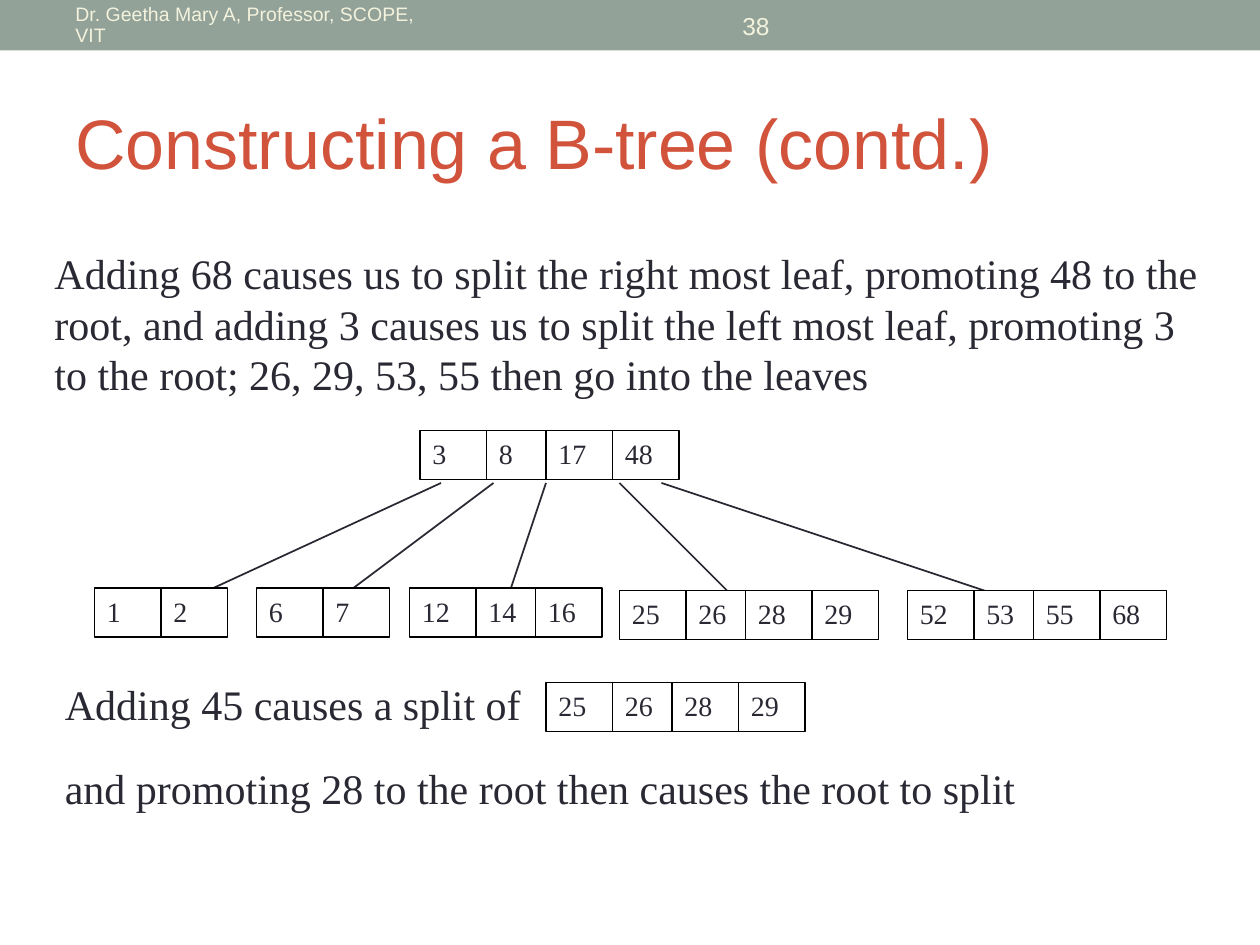
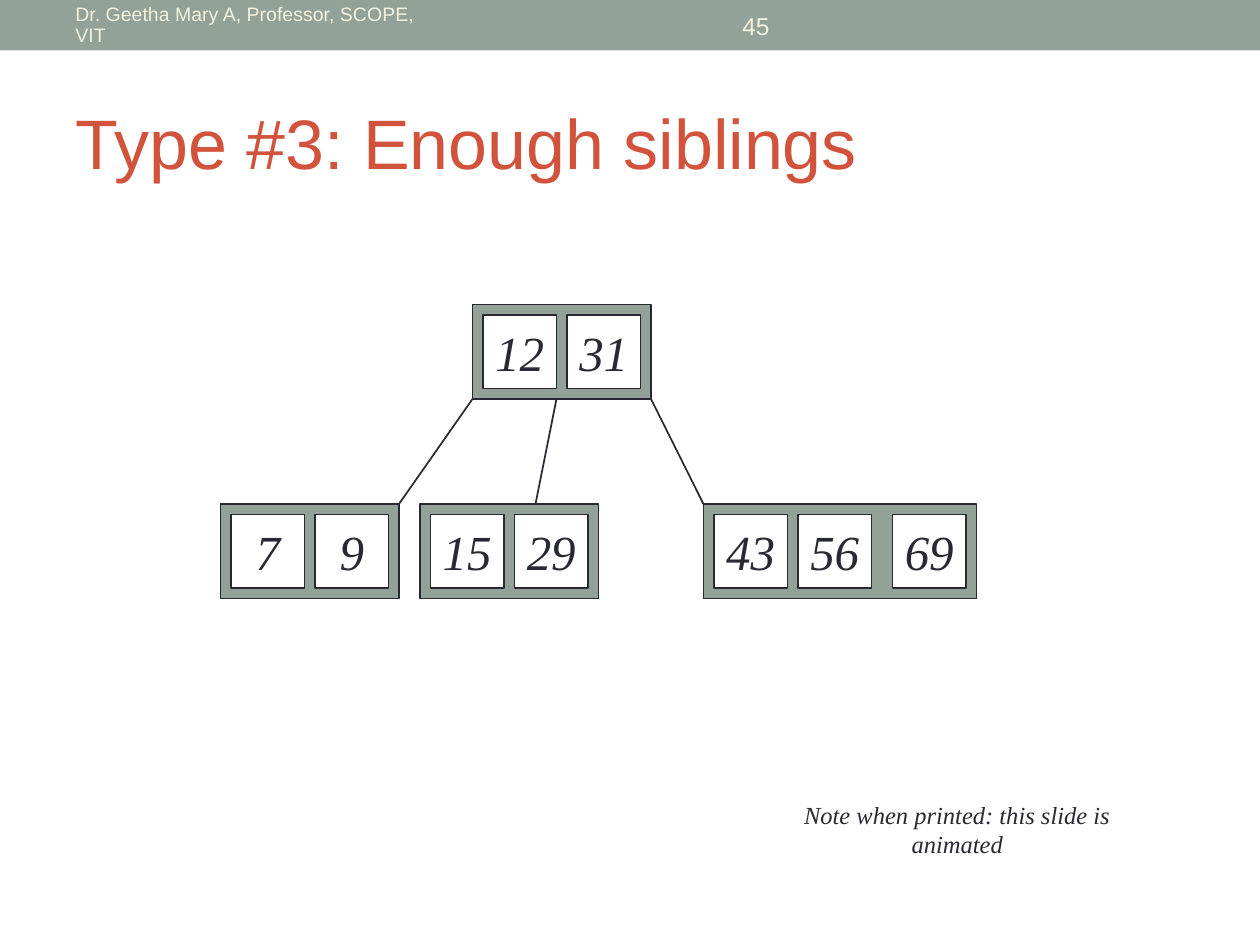
from lxml import etree
from pptx import Presentation
from pptx.dml.color import RGBColor
from pptx.enum import shapes, text
from pptx.oxml.ns import qn
from pptx.util import Pt

# Shared look
BAND, CREAM, RED, INK = "93A299", "F3F2DC", "D2533C", "292934"
WHITE, BLACK = "FFFFFF", "000000"
SANS, SERIF = "Arial", "Times New Roman"
LEFT, CENTER = text.PP_ALIGN.LEFT, text.PP_ALIGN.CENTER
TOP, MIDDLE = text.MSO_ANCHOR.TOP, text.MSO_ANCHOR.MIDDLE
AUTHOR = "Dr. Geetha Mary A, Professor, SCOPE, VIT"

# Slide 1: text as (box, wording), nodes as (left, top, keys), links as (x from, x to)
SPLIT_TITLE = "Constructing a B-tree (contd.)"
SPLIT_TEXT = [
    ((24, 138, 672, 94), "Adding 68 causes us to split the right most leaf, promoting 48 to the "
     "root, and adding 3 causes us to split the left most leaf, promoting 3 "
     "to the root; 26, 29, 53, 55 then go into the leaves"),
    ((30, 384, 288, 36), "Adding 45 causes a split of"),
    ((30, 432, 654, 36), "and promoting 28 to the root then causes the root to split"),
]
SPLIT_NODES = [
    (240, 246, [3, 8, 17, 48]),
    (518.5, 337.5, [52, 53, 55, 68]),
    (354, 337.5, [25, 26, 28, 29]),
    (54, 336, [1, 2]),
    (146.5, 336, [6, 7]),
    (234, 336, [12, 14, 16]),
    (312, 390, [25, 26, 28, 29]),
]
SPLIT_LINKS = [(252, 96), (282, 186), (312, 288), (354, 426), (378, 594)]
PAIR_STEP, CELL_W, CELL_H = 72, 38, 28

# Slide 2: nodes as (left, top, width, {key: offset})
SIBLING_TITLE = "Type #3: Enough siblings"
SIBLING_NODES = [
    (270, 174, 102, {12: 6, 31: 54}),
    (126, 288, 102, {7: 6, 9: 54}),
    (240, 288, 102, {15: 6, 29: 54}),
    (402, 288, 156, {43: 6, 56: 54, 69: 108}),
]
SIBLING_LINKS = [(270, 228), (318, 306), (372, 402)]
NODE_H, KEY_SIZE, KEY_PAD = 54, 42, 6
NOTE = "Note when printed: this slide is animated"


def rgb(value):
    return RGBColor.from_string(value)


def write(sp, words, size, font=SERIF, color=INK, align=LEFT, anchor=TOP,
          italic=False, wrap=True):
    tf = sp.text_frame
    tf.word_wrap, tf.vertical_anchor = wrap, anchor
    p = tf.paragraphs[0]
    p.text, p.alignment = str(words), align
    p.font.size, p.font.name, p.font.italic = Pt(size), font, italic
    p.font.color.rgb = rgb(color)
    return p


def add_text(s, box, words, size, **style):
    return write(s.shapes.add_textbox(*map(Pt, box)), words, size, **style)


def add_box(s, box, fill, line=None, weight=1):
    sp = s.shapes.add_shape(shapes.MSO_SHAPE.RECTANGLE, *map(Pt, box))
    sp.shadow.inherit = False
    sp.fill.solid()
    sp.fill.fore_color.rgb = rgb(fill)
    if line:
        sp.line.color.rgb = rgb(line)
        sp.line.width = Pt(weight)
    else:
        sp.line.fill.background()
    return sp


def add_links(s, links, top, bottom):
    for x1, x2 in links:
        line = s.shapes.add_connector(shapes.MSO_CONNECTOR.STRAIGHT,
                                      Pt(x1), Pt(top), Pt(x2), Pt(bottom))
        line.line.color.rgb = rgb(INK)
        line.line.width = Pt(1)
        etree.SubElement(line._element.spPr, qn("a:effectLst"))


def add_slide(prs, title, number):
    s = prs.slides.add_slide(prs.slide_layouts[6])
    add_box(s, (0, 0, 720, 28.8), BAND)
    p = add_text(s, (36, 1.5, 228, 26), AUTHOR, 11.1, font=SANS, color=CREAM, anchor=MIDDLE)
    p.line_spacing = 0.9
    add_text(s, (270, 1.5, 324, 26), number, 14, font=SANS, color=CREAM,
             align=CENTER, anchor=MIDDLE)
    add_text(s, (36, 42, 648, 78), title, 40, font=SANS, color=RED, anchor=MIDDLE)
    return s


def build_split(prs):
    s = add_slide(prs, SPLIT_TITLE, 38)
    add_links(s, SPLIT_LINKS, 276, 348)
    for box, words in SPLIT_TEXT:
        add_text(s, box, words, 24)
    # Keys stand in touching pairs, each pair slightly over the one before
    for left, top, keys in SPLIT_NODES:
        for i, key in enumerate(keys):
            x = left + PAIR_STEP * (i // 2) + CELL_W * (i % 2)
            write(add_box(s, (x, top, CELL_W, CELL_H), WHITE, BLACK, 0.75), key, 16)


def build_siblings(prs):
    s = add_slide(prs, SIBLING_TITLE, 45)
    for left, top, width, keys in SIBLING_NODES:
        add_box(s, (left, top, width, NODE_H), BAND, INK)
        for key, offset in keys.items():
            cell = add_box(s, (left + offset, top + KEY_PAD, KEY_SIZE, KEY_SIZE), WHITE, INK)
            write(cell, key, 28, align=CENTER, anchor=MIDDLE, italic=True, wrap=False)
    add_links(s, SIBLING_LINKS, 228, 288)
    add_text(s, (424.5, 461.5, 245, 24.5), NOTE, 14, align=CENTER, anchor=MIDDLE,
             italic=True, wrap=False)


def main():
    prs = Presentation()
    prs.slide_width, prs.slide_height = Pt(720), Pt(540)
    build_split(prs)
    build_siblings(prs)
    prs.save("out.pptx")


if __name__ == "__main__":
    main()
